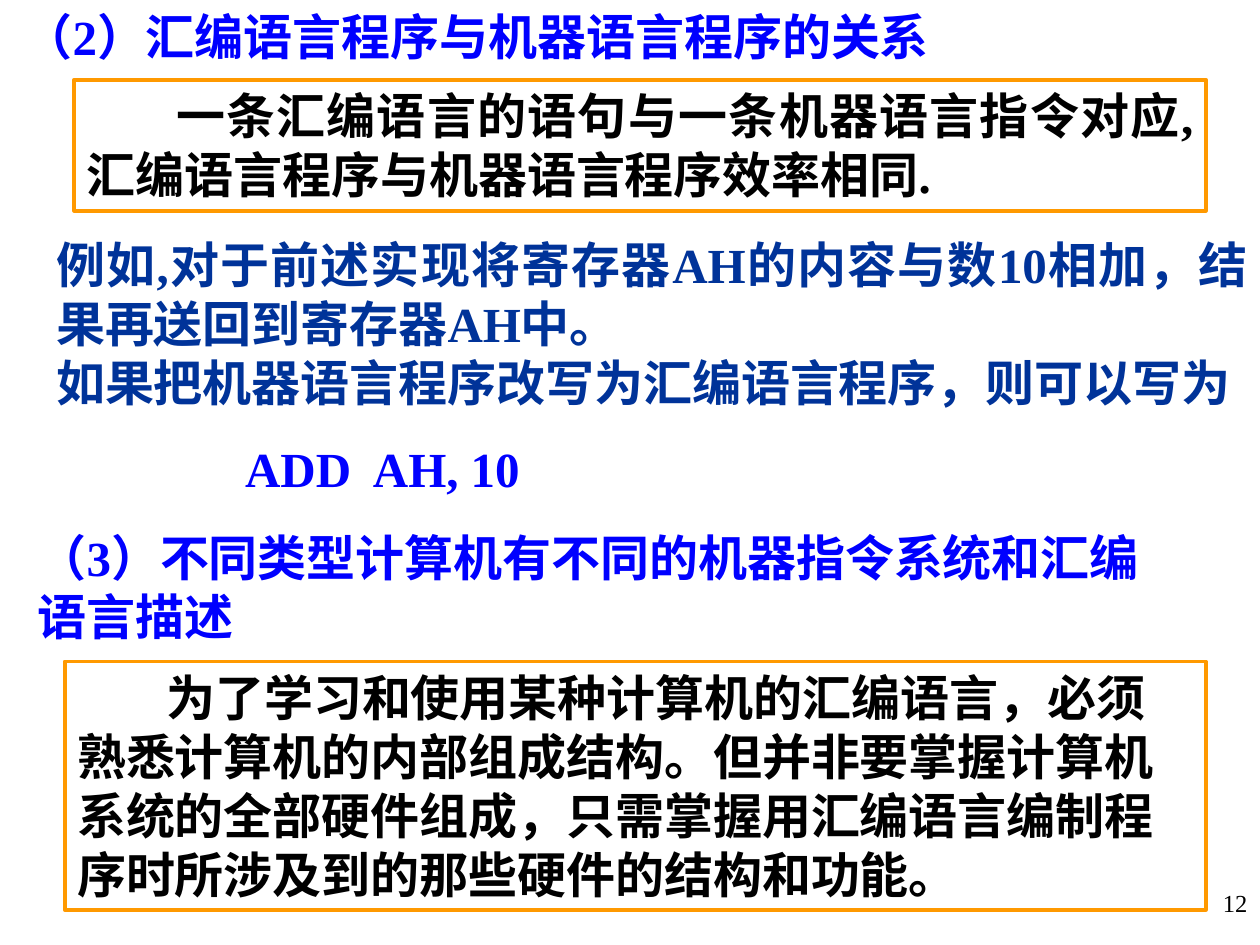
from pptx import Presentation
from pptx.dml.color import RGBColor
from pptx.enum.shapes import MSO_SHAPE as SHAPE
from pptx.enum.text import MSO_ANCHOR as ANCHOR, MSO_AUTO_SIZE as AUTOSIZE, PP_ALIGN as ALIGN
from pptx.util import Pt

BLACK = RGBColor(0x00, 0x00, 0x00)
WHITE = RGBColor(0xFF, 0xFF, 0xFF)
BLUE = RGBColor(0x00, 0x00, 0xFF)
NAVY = RGBColor(0x00, 0x33, 0x99)
ORANGE = RGBColor(0xFF, 0x99, 0x00)

FONT = "Times New Roman"
FIRST_LINE_INDENT = 51


def in_points(box):
    return [Pt(length) for length in box]


def write(frame, lines, color, size=28, bold=True, align=ALIGN.LEFT,
          indent=0, anchor=ANCHOR.TOP, autosize=AUTOSIZE.SHAPE_TO_FIT_TEXT):
    """Fill a text frame, one paragraph for each line."""
    frame.word_wrap = True
    frame.auto_size = autosize
    frame.vertical_anchor = anchor
    frame.margin_left = frame.margin_right = Pt(7.2)
    frame.margin_top = frame.margin_bottom = Pt(3.6)
    for number, line in enumerate(lines):
        paragraph = frame.add_paragraph() if number else frame.paragraphs[0]
        paragraph.alignment = align
        if indent:
            paragraph._p.get_or_add_pPr().set("indent", str(Pt(indent)))
        run = paragraph.add_run()
        run.text = line
        run.font.name = FONT
        run.font.size = Pt(size)
        run.font.bold = bold
        run.font.color.rgb = color


def add_title(slide, box, text):
    title = slide.shapes.title
    title.left, title.top, title.width, title.height = in_points(box)
    title.fill.solid()
    title.fill.fore_color.rgb = WHITE
    write(title.text_frame, [text], BLUE, align=ALIGN.JUSTIFY)


def add_rectangle(slide, box):
    rectangle = slide.shapes.add_shape(SHAPE.RECTANGLE, *in_points(box))
    rectangle.shadow.inherit = False
    return rectangle


def add_heading(slide, box, text):
    heading = add_rectangle(slide, box)
    heading.fill.solid()
    heading.fill.fore_color.rgb = WHITE
    heading.line.fill.background()
    write(heading.text_frame, [text], BLUE)


def add_framed_note(slide, box, text, align):
    note = add_rectangle(slide, box)
    note.fill.background()
    note.line.color.rgb = ORANGE
    note.line.width = Pt(2.25)
    write(note.text_frame, [text], BLACK, align=align, indent=FIRST_LINE_INDENT)


def add_text(slide, box, lines, color, **style):
    text_box = slide.shapes.add_textbox(*in_points(box))
    write(text_box.text_frame, lines, color, **style)


def build_slide(slide):
    add_text(slide, (570, 504, 150, 36), ["12"], BLACK, size=14, bold=False,
             align=ALIGN.RIGHT, autosize=AUTOSIZE.NONE)
    add_title(slide, (0, 0, 551, 75), " （2）汇编语言程序与机器语言程序的关系")
    add_text(slide, (25, 130.5, 695, 108), [
        "例如,对于前述实现将寄存器AH的内容与数10相加，结果再送回到寄存器AH中。",
        "如果把机器语言程序改写为汇编语言程序，则可以写为",
    ], NAVY, align=ALIGN.JUSTIFY)
    add_heading(slide, (14.5, 298, 660, 75),
                "（3）不同类型计算机有不同的机器指令系统和汇编语言描述")
    add_framed_note(
        slide, (37, 378, 652, 142),
        "为了学习和使用某种计算机的汇编语言，必须熟悉计算机的内部组成结构。"
        "但并非要掌握计算机系统的全部硬件组成，"
        "只需掌握用汇编语言编制程序时所涉及到的那些硬件的结构和功能。",
        ALIGN.LEFT)
    add_framed_note(
        slide, (42.5, 45.5, 646.5, 75),
        "一条汇编语言的语句与一条机器语言指令对应,汇编语言程序与机器语言程序效率相同.",
        ALIGN.JUSTIFY)
    add_text(slide, (133, 213, 227, 75), ["ADD  AH, 10"], BLUE,
             align=ALIGN.JUSTIFY, anchor=ANCHOR.BOTTOM, autosize=AUTOSIZE.NONE)


def main():
    presentation = Presentation()
    presentation.slide_width = Pt(720)
    presentation.slide_height = Pt(540)
    title_only = presentation.slide_layouts[5]
    build_slide(presentation.slides.add_slide(title_only))
    presentation.save("out.pptx")


if __name__ == "__main__":
    main()
